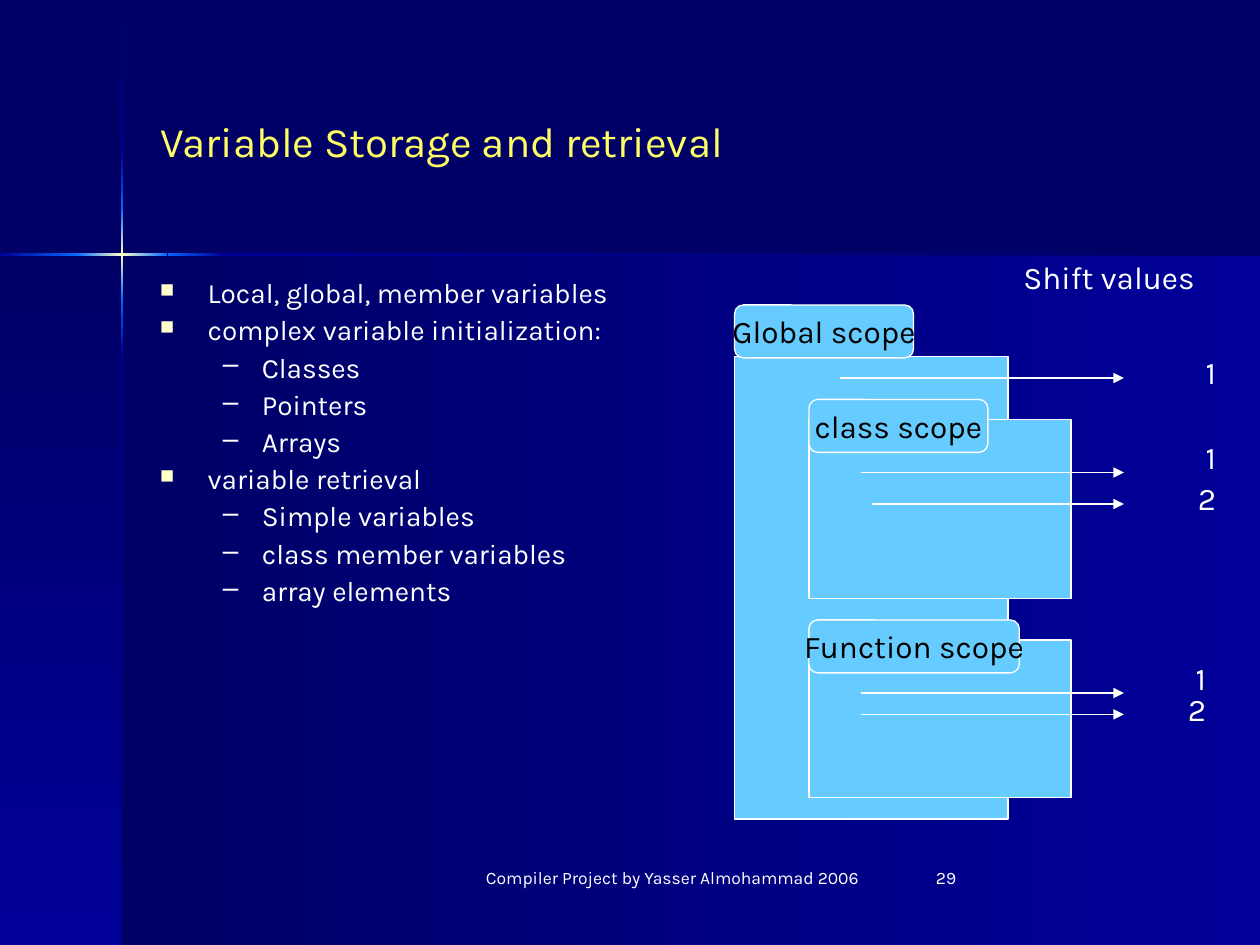
from lxml.etree import SubElement
from pptx import Presentation
from pptx.dml.color import RGBColor
from pptx.enum.shapes import MSO_CONNECTOR, MSO_SHAPE
from pptx.enum.text import MSO_ANCHOR, MSO_AUTO_SIZE, PP_ALIGN
from pptx.oxml import parse_xml
from pptx.oxml.ns import nsdecls, qn
from pptx.util import Inches, Pt

FONT = "Karla"
HUES = {"night": "000066", "navy": "000099", "blue": "0066FF", "cream": "FFFFCC",
        "white": "FFFFFF", "black": "000000", "sky": "66CCFF", "gold": "FFFF66"}
ACROSS, DOWN = 180, 90
THIN = 0.02


def rgb(name):
    return RGBColor.from_string(HUES[name])


def place(shape, left, top, width, height):
    shape.left, shape.top = Inches(left), Inches(top)
    shape.width, shape.height = Inches(width), Inches(height)


def write(para, text, size, hue):
    run = para.add_run()
    run.text = text
    run.font.name, run.font.size = FONT, Pt(size)
    run.font.color.rgb = rgb(hue)


def label(slide, box, text, size, align, before=0):
    shape = slide.shapes.add_textbox(*map(Inches, box))
    shape.text_frame.word_wrap = True
    para = shape.text_frame.paragraphs[0]
    para.alignment, para.space_before = align, Pt(before)
    write(para, text, size, "white")


def block(slide, kind, box, fill):
    shape = slide.shapes.add_shape(kind, *map(Inches, box))
    shape.shadow.inherit = False
    shape.fill.solid()
    shape.fill.fore_color.rgb = rgb(fill)
    return shape


def fade(slide, box, angle, *stops):
    """Add a borderless bar with evenly spaced gradient stops."""
    shape = block(slide, MSO_SHAPE.RECTANGLE, box, stops[0])
    shape.line.fill.background()
    marks = "".join(
        f'<a:gs pos="{100000 * i // (len(stops) - 1)}"><a:srgbClr val="{HUES[hue]}"/></a:gs>'
        for i, hue in enumerate(stops))
    props = shape._element.spPr
    props.replace(props.find(qn("a:solidFill")), parse_xml(
        f'<a:gradFill {nsdecls("a")}><a:gsLst>{marks}</a:gsLst>'
        f'<a:lin ang="{angle * 60000}" scaled="0"/></a:gradFill>'))


def backdrop(slide, wide, high, x, y):
    """Shade the panels and draw the glowing cross centred on x, y."""
    slide.background.fill.solid()
    slide.background.fill.fore_color.rgb = rgb("night")
    fade(slide, (x, y, wide - x, high - y), ACROSS, "navy", "night")
    fade(slide, (0, y, x, high - y), DOWN, "night", "navy")
    glow = ("blue", "cream", "blue")
    for top, end, stops in (
            (0.01, 1.21, ("night", "navy")), (2.82, high, ("navy", "night")),
            (2.38, 2.82, ("blue", "navy")), (1.21, 1.65, ("navy", "blue")),
            (1.65, 2.38, glow)):
        fade(slide, (x - THIN / 2, top, THIN, end - top), DOWN, *stops)
    for left, end, stops in (
            (1.77, wide, ("night", "navy")), (0, 0.61, ("blue", "navy")),
            (1.33, 1.77, ("navy", "blue")), (0.6, 1.33, glow)):
        fade(slide, (left, y - THIN / 2, end - left, THIN), ACROSS, *stops)


def heading(slide, box):
    title = slide.shapes.title
    place(title, *box)
    frame = title.text_frame
    frame.auto_size = MSO_AUTO_SIZE.NONE
    frame.vertical_anchor = MSO_ANCHOR.MIDDLE
    para = frame.paragraphs[0]
    para.alignment, para.space_before = PP_ALIGN.LEFT, Pt(15)
    write(para, "Variable Storage and retrieval", 24, "gold")


def bullet(para, level):
    mark, hue, scale, left, hang = (
        ("■", "cream", 70, 0.38, 0.38), ("–", "white", 100, 0.81, 0.31))[level]
    para.level = level
    props = para._p.get_or_add_pPr()
    props.set("marL", str(Inches(left)))
    props.set("indent", str(-Inches(hang)))
    SubElement(SubElement(props, qn("a:buClr")), qn("a:srgbClr")).set("val", HUES[hue])
    SubElement(props, qn("a:buSzPct")).set("val", str(scale * 1000))
    SubElement(props, qn("a:buChar")).set("char", mark)


def topics(slide, box):
    frame = slide.shapes.add_textbox(*map(Inches, box)).text_frame
    frame.word_wrap = True
    items = ((0, "Local, global, member variables"),
             (0, "complex variable initialization:"),
             (1, "Classes"), (1, "Pointers"), (1, "Arrays"),
             (0, "variable retrieval"),
             (1, "Simple variables"), (1, "class member variables"),
             (1, "array elements"))
    for i, (level, text) in enumerate(items):
        para = frame.add_paragraph() if i else frame.paragraphs[0]
        para.line_spacing, para.space_before = 0.9, Pt(4)
        bullet(para, level)
        write(para, text, 16, "white")


def panel(slide, kind, box):
    shape = block(slide, kind, box, "sky")
    shape.line.color.rgb = rgb("white")
    shape.line.width = Pt(0.75)
    return shape


def tab(slide, box, text):
    shape = panel(slide, MSO_SHAPE.ROUNDED_RECTANGLE, box)
    frame = shape.text_frame
    frame.word_wrap = False
    frame.vertical_anchor = MSO_ANCHOR.MIDDLE
    para = frame.paragraphs[0]
    para.alignment = PP_ALIGN.CENTER
    write(para, text, 18, "black")


def arrow(slide, left, right, y):
    line = slide.shapes.add_connector(
        MSO_CONNECTOR.STRAIGHT, Inches(left), Inches(y), Inches(right), Inches(y))
    line.line.color.rgb = rgb("white")
    line.line.width = Pt(0.75)
    SubElement(line.line._get_or_add_ln(), qn("a:tailEnd")).set("type", "triangle")
    SubElement(line._element.spPr, qn("a:effectLst"))


def scopes(slide, x, y):
    """Draw nested scopes, then an arrow and a shift value per variable."""
    inner = x + 0.59
    for left, top, width, height in (
            (x, y + 0.41, 2.17, 3.67), (inner, y + 0.91, 2.08, 1.42),
            (inner, y + 2.66, 2.08, 1.25)):
        panel(slide, MSO_SHAPE.RECTANGLE, (left, top, width, height))
    for left, top, width, text in (
            (x, y, 1.42, "Global scope"), (inner, y + 0.75, 1.42, "class scope"),
            (inner, y + 2.5, 1.67, "Function scope")):
        tab(slide, (left, top, width, 0.42), text)
    for start, rise, side, drop, value in (
            (0.84, 0.58, 3.25, 0.33, "1"), (1, 1.33, 3.25, 1.01, "1"),
            (1.09, 1.58, 3.25, 1.33, "2"), (1, 3.08, 3.17, 2.76, "1"),
            (1, 3.25, 3.17, 3.01, "2")):
        arrow(slide, x + start, x + 3.09, y + rise)
        label(slide, (x + side, y + drop, 0.67, 0.4), value, 18, PP_ALIGN.RIGHT, 11.2)
    label(slide, (x + 2, y - 0.42, 1.75, 0.4), "Shift values", 18, PP_ALIGN.RIGHT, 11.2)


def footer(slide, y):
    label(slide, (3.75, y, 3.17, 0.5), "Compiler Project by Yasser Almohammad 2006",
          10, PP_ALIGN.CENTER)
    label(slide, (7.33, y, 2.08, 0.5), "29", 10, PP_ALIGN.LEFT)


def main():
    deck = Presentation()
    deck.slide_width, deck.slide_height = Inches(10), Inches(7.5)
    slide = deck.slides.add_slide(deck.slide_layouts[5])
    backdrop(slide, 10, 7.5, 0.97, 2.02)
    heading(slide, (1.17, 0.33, 8.25, 1.57))
    topics(slide, (1.17, 2.17, 8.25, 4.5))
    scopes(slide, 5.83, 2.42)
    footer(slide, 6.83)
    deck.save("out.pptx")


if __name__ == "__main__":
    main()
